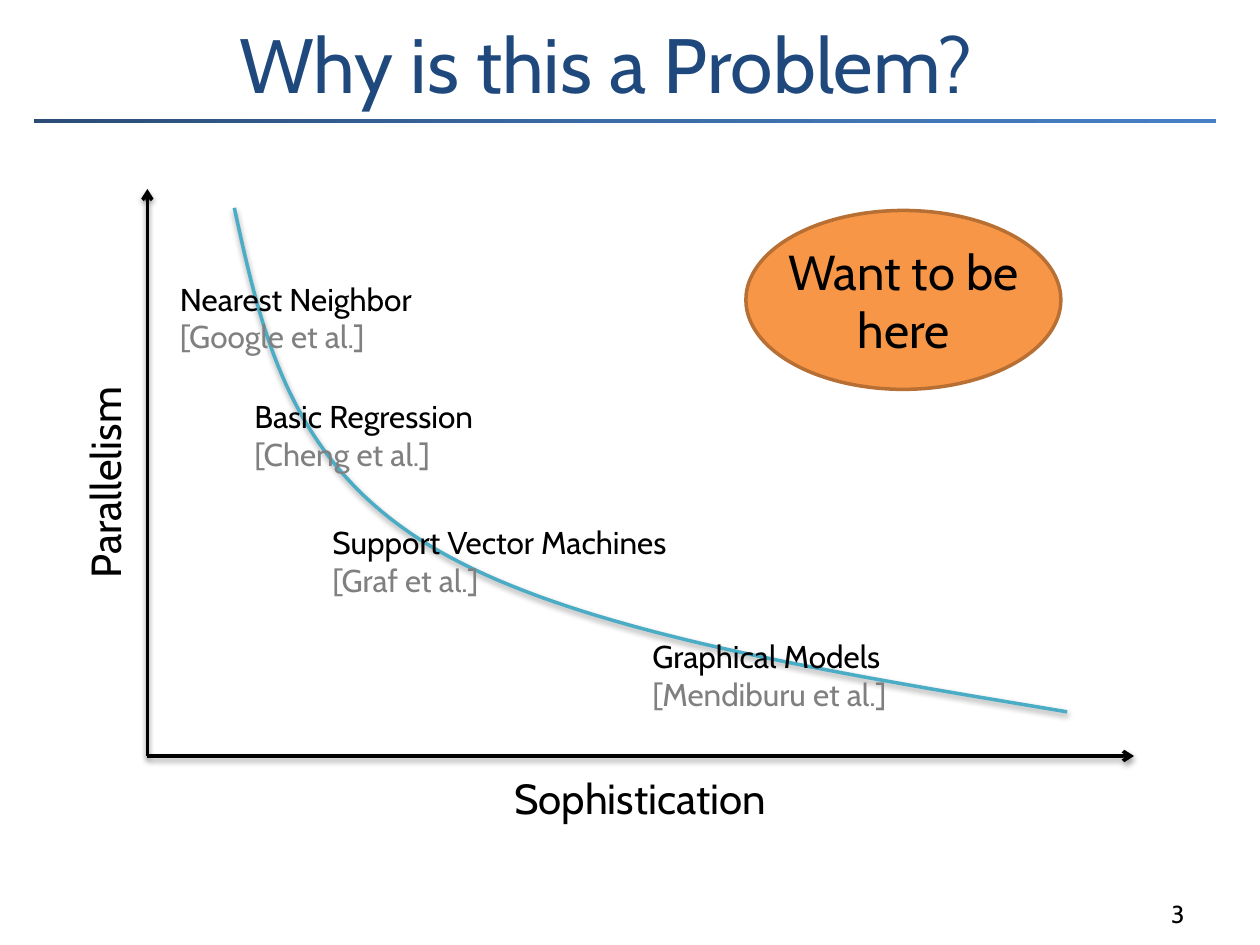
from lxml import etree
from pptx import Presentation
from pptx.dml.color import RGBColor
from pptx.enum.shapes import MSO_CONNECTOR, MSO_SHAPE
from pptx.enum.text import MSO_ANCHOR, PP_ALIGN
from pptx.oxml import parse_xml
from pptx.oxml.ns import nsdecls, qn
from pptx.util import Inches, Pt

# Content
TITLE = "Why is this a Problem?"
PAGE_NUMBER = "3"
GOAL = ["Want to be", "here"]
X_LABEL, Y_LABEL = "Sophistication", "Parallelism"
METHODS = [  # name, citation, (left, top, width)
    ("Nearest Neighbor", "[Google et al.]", (1.33, 2.17, 2.14)),
    ("Basic Regression", "[Cheng et al.]", (1.92, 3.1, 2.06)),
    ("Graphical Models", "[Mendiburu et al.]", (5.08, 5.01, 2.2)),
    ("Support Vector Machines", "[Graf et al.]", (2.54, 4.1, 2.96)),
]
TRADE_OFF = [  # cubic segments of the curve, inches
    ((1.86, 1.65), (2.08, 2.66), (2.3, 3.66), (3.41, 4.33)),
    ((3.41, 4.33), (4.51, 5), (6.49, 5.32), (8.47, 5.65)),
]
COLORS = {"title": "1F497D", "text": "000000", "citation": "808080",
          "curve": "4BACC6", "goal": "F79646", "goal_edge": "B76F34", "white": "FFFFFF"}
RULE_STOPS = [(0, "2A4C75"), (50, "3C6CA6"), (100, "4780C5")]
FONT = "Cabin"
ORIGIN, X_END, Y_END = (1.17, 6), (9, 6), (1.17, 1.5)
LABEL_SIZE = (4.5, 0.5)
CURVE_STEPS = 40

prs = Presentation()
prs.slide_width, prs.slide_height = Inches(10), Inches(7.5)
slide = prs.slides.add_slide(prs.slide_layouts[6])
shapes = slide.shapes


def rgb(name):
    return RGBColor.from_string(COLORS[name])


def write(shape, lines, size, colors, align=PP_ALIGN.LEFT, anchor=MSO_ANCHOR.TOP, wrap=True):
    frame = shape.text_frame
    frame.text = "\n".join(lines)
    frame.word_wrap, frame.vertical_anchor = wrap, anchor
    for paragraph, color in zip(frame.paragraphs, colors):
        paragraph.alignment = align
        for run in paragraph.runs:
            run.font.name, run.font.size = FONT, Pt(size)
            run.font.color.rgb = rgb(color)


def add_text(box, lines, size, colors=("text",), **layout):
    label = shapes.add_textbox(*map(Inches, box))
    write(label, lines, size, colors, **layout)
    return label


def set_line(shape, color, width):
    shape.line.color.rgb = rgb(color)
    shape.line.width = Pt(width)


def add_soft_shadow(shape):
    shape._element.spPr.append(parse_xml(
        f'<a:effectLst {nsdecls("a")}><a:outerShdw blurRad="{Pt(3.1)}" dist="{Pt(1.6)}" '
        'dir="5400000" rotWithShape="0"><a:srgbClr val="000000"><a:alpha val="38000"/>'
        '</a:srgbClr></a:outerShdw></a:effectLst>'))


def bezier(points, t):
    weights = ((1 - t) ** 3, 3 * t * (1 - t) ** 2, 3 * t ** 2 * (1 - t), t ** 3)
    return tuple(Inches(sum(w * p[axis] for w, p in zip(weights, points))) for axis in (0, 1))


# Rule under the title
rule = shapes.add_shape(MSO_SHAPE.RECTANGLE, *map(Inches, (0.25, 0.92, 9.42, 0.08)))
rule.shadow.inherit = False
rule.fill.gradient()
rule.fill.gradient_angle = 315
stop_list = rule._element.spPr.find(qn("a:gradFill")).find(qn("a:gsLst"))
for stop in list(stop_list):
    stop_list.remove(stop)
for position, color in RULE_STOPS:
    stop = etree.SubElement(stop_list, qn("a:gs"), pos=str(position * 1000))
    etree.SubElement(stop, qn("a:srgbClr"), val=color)
set_line(rule, "white", 3)

# Trade-off curve
curve_points = [bezier(segment, step / CURVE_STEPS)
                for segment in TRADE_OFF for step in range(CURVE_STEPS + 1)]
builder = shapes.build_freeform(*curve_points[0])
builder.add_line_segments(curve_points[1:], close=False)
curve = builder.convert_to_shape()
curve.fill.background()
set_line(curve, "curve", 2)
add_soft_shadow(curve)

# Title and page number
add_text((1.8, 0.08, 7.2, 0.83), [TITLE], 44, ["title"], anchor=MSO_ANCHOR.BOTTOM)
add_text((7.42, 6.92, 2.08, 0.5), [PAGE_NUMBER], 14,
         align=PP_ALIGN.RIGHT, anchor=MSO_ANCHOR.BOTTOM)

# Axes
for end in (X_END, Y_END):
    axis = shapes.add_connector(MSO_CONNECTOR.STRAIGHT, *map(Inches, ORIGIN + end))
    set_line(axis, "text", 2)
    etree.SubElement(axis.line._get_or_add_ln(), qn("a:tailEnd"), type="arrow")
    add_soft_shadow(axis)

add_text((2.83, 6.08) + LABEL_SIZE, [X_LABEL], 24, align=PP_ALIGN.CENTER)
y_label = add_text((-1.42, 3.58) + LABEL_SIZE, [Y_LABEL], 24, align=PP_ALIGN.CENTER)
y_label.rotation = 270

# Methods along the curve
for name, citation, place in METHODS:
    add_text(place + (0.71,), [name, citation], 18, ("text", "citation"), wrap=False)

# Goal
goal = shapes.add_shape(MSO_SHAPE.OVAL, *map(Inches, (5.92, 1.67, 2.5, 1.42)))
goal.shadow.inherit = False
goal.fill.solid()
goal.fill.fore_color.rgb = rgb("goal")
set_line(goal, "goal_edge", 2)
write(goal, GOAL, 28, ("text", "text"), align=PP_ALIGN.CENTER,
      anchor=MSO_ANCHOR.MIDDLE, wrap=False)

prs.save("out.pptx")
